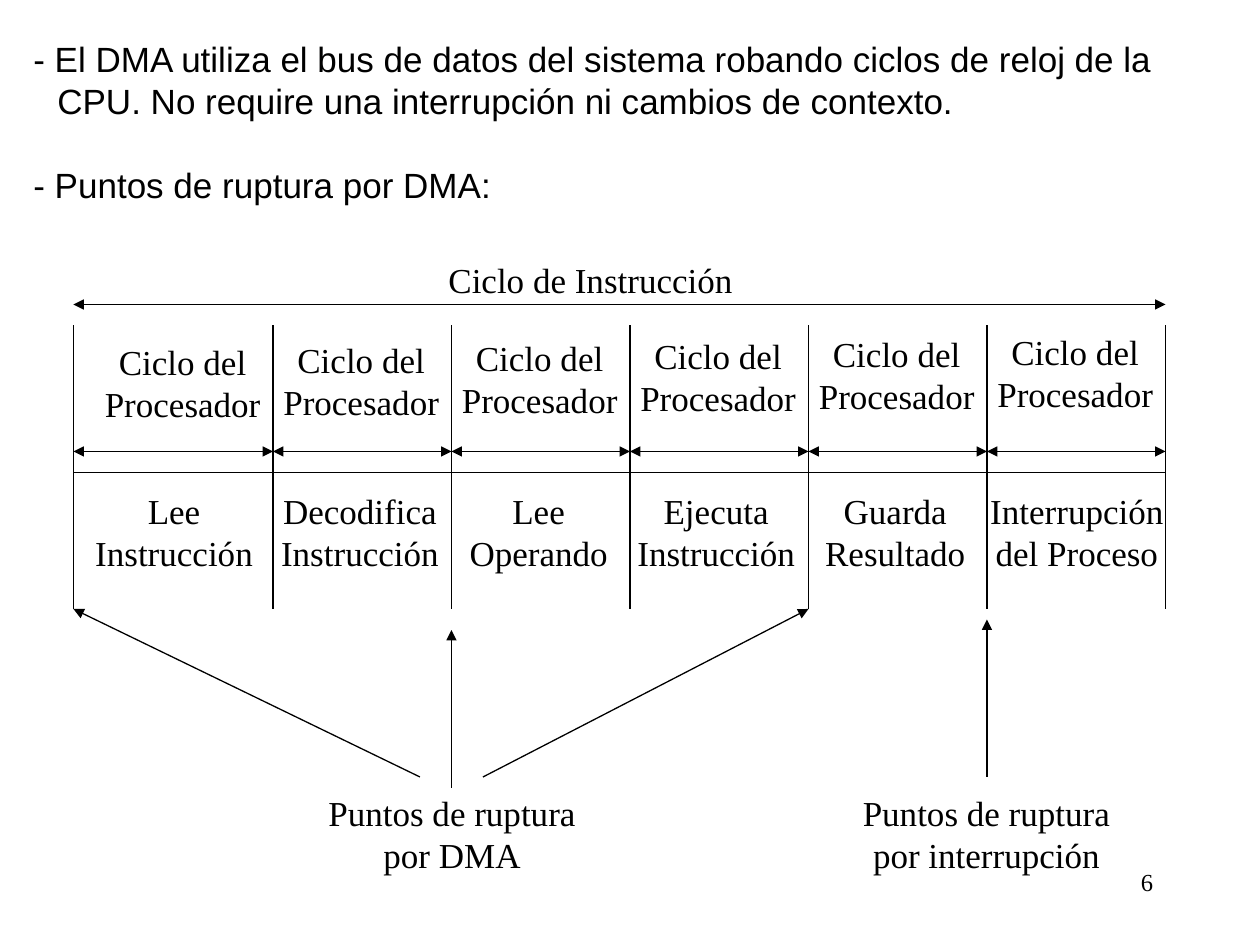
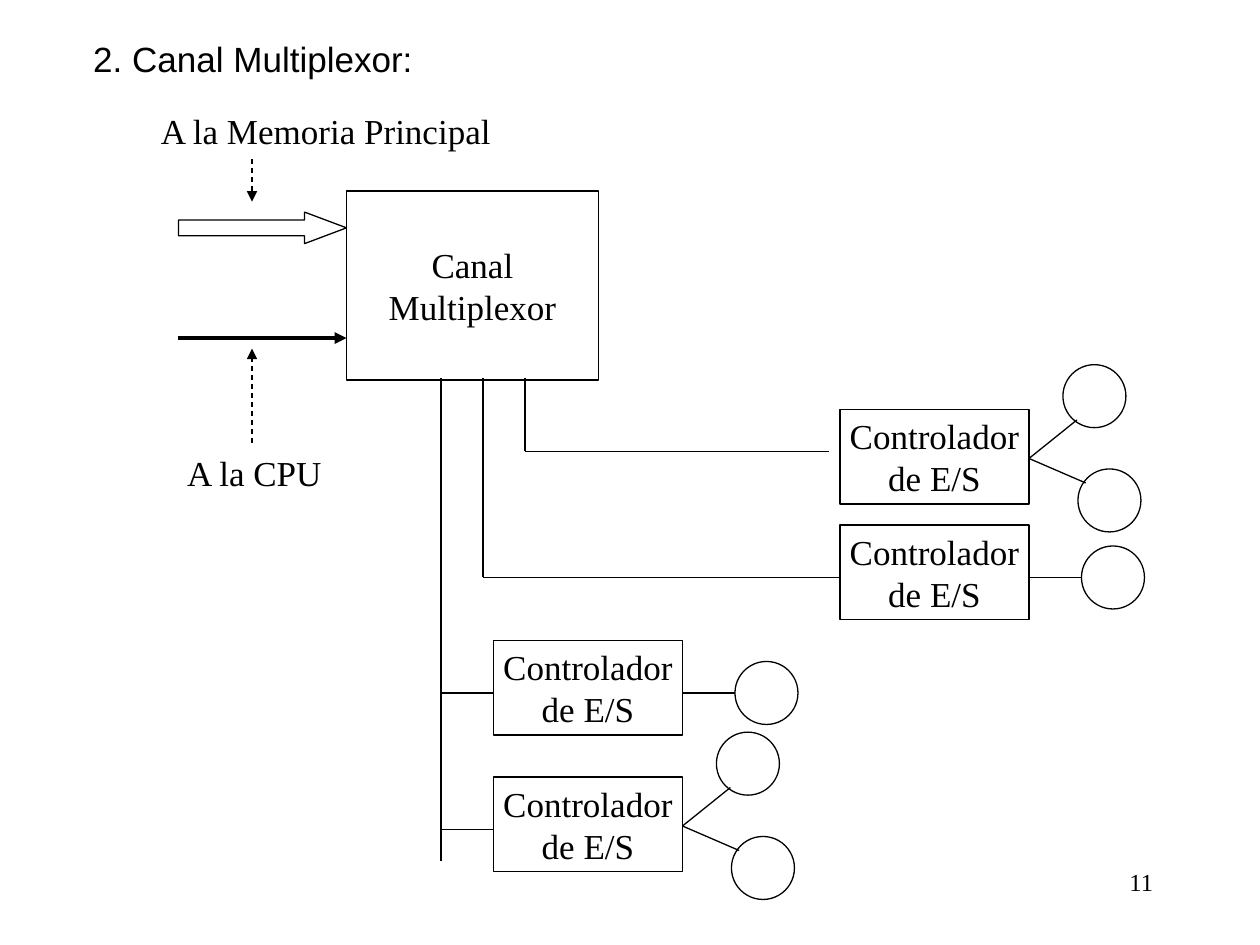
from itertools import pairwise

from lxml import etree
from pptx import Presentation
from pptx.dml.color import RGBColor
from pptx.enum.dml import MSO_LINE_DASH_STYLE as Dash
from pptx.enum.shapes import MSO_CONNECTOR as Connector, MSO_SHAPE as Shape
from pptx.enum.text import MSO_ANCHOR as Anchor, PP_ALIGN as Align
from pptx.oxml.ns import qn
from pptx.util import Pt

# Shared style
BLACK = RGBColor(0, 0, 0)
HEADING = {"name": "Arial", "size": Pt(20)}
LABEL = {"name": "Times New Roman", "size": Pt(20)}
PAGE_NUMBER = {"name": "Times New Roman", "size": Pt(14)}
MARGINS = {"margin_left": Pt(7.2), "margin_right": Pt(7.2),
           "margin_top": Pt(3.6), "margin_bottom": Pt(3.6)}
THIN, THICK = 0.75, 2.25


def apply_format(target, values):
    for name, value in values.items():
        setattr(target, name, value)


def write_text(shape, lines, font, align=Align.CENTER, anchor=Anchor.TOP,
               wrap=False, left_indent=0, first_indent=0, gap=0):
    frame = shape.text_frame
    apply_format(frame, {**MARGINS, "word_wrap": wrap, "vertical_anchor": anchor})
    for number, line in enumerate(lines):
        paragraph = frame.add_paragraph() if number else frame.paragraphs[0]
        paragraph.text = line
        paragraph.alignment = align
        properties = paragraph._p.get_or_add_pPr()
        properties.set("marL", str(Pt(left_indent)))
        properties.set("indent", str(Pt(first_indent)))
        if number and gap:
            paragraph.space_before = Pt(gap)
        apply_format(paragraph.font, font)
        paragraph.font.color.rgb = BLACK


def add_text(slide, box, lines, font=LABEL, **layout):
    shape = slide.shapes.add_textbox(*map(Pt, box))
    write_text(shape, lines, font, **layout)


def add_centred_label(slide, centre, top, lines, width=114):
    height = 7.2 + 24 * len(lines)
    add_text(slide, (centre - width / 2, top, width, height), lines)


def add_outline(slide, kind, box, lines=()):
    shape = slide.shapes.add_shape(kind, *map(Pt, box))
    shape.shadow.inherit = False
    shape.fill.background()
    shape.line.color.rgb = BLACK
    shape.line.width = Pt(THIN)
    if lines:
        write_text(shape, lines, LABEL, anchor=Anchor.MIDDLE)
    return shape


def add_line(slide, start, end, head=False, tail=False, width=THIN, dash=None):
    line = slide.shapes.add_connector(Connector.STRAIGHT, *map(Pt, (*start, *end)))
    line.line.color.rgb = BLACK
    line.line.width = Pt(width)
    if dash:
        line.line.dash_style = dash
    outline = line.line._get_or_add_ln()
    for tag, wanted in (("a:headEnd", head), ("a:tailEnd", tail)):
        if wanted:
            etree.SubElement(outline, qn(tag), type="triangle")
    etree.SubElement(line._element.spPr, qn("a:effectLst"))


def add_slide(presentation, number):
    slide = presentation.slides.add_slide(presentation.slide_layouts[6])
    add_text(slide, (516, 492, 150, 36), [str(number)], PAGE_NUMBER,
             align=Align.RIGHT, wrap=True)
    return slide


def add_controller(slide, left, top, disks):
    """Draw a controller box with one or two disks on its right."""
    add_outline(slide, Shape.RECTANGLE, (left, top, 108, 54), ["Controlador", "de E/S"])
    right = left + 108
    if disks == 1:
        start_y = 30
        links = [((30, 30), (30, 12))]
    else:
        start_y = 28
        links = [((27.4, 6), (19.4, -25.6)), ((32.4, 42), (28, 34))]
    for (end_x, end_y), (disk_x, disk_y) in links:
        add_line(slide, (right, top + start_y), (right + end_x, top + end_y))
        add_outline(slide, Shape.OVAL, (right + disk_x, top + disk_y, 36, 36))


def build_breakpoints(presentation):
    slide = add_slide(presentation, 6)
    add_text(slide, (12, 18, 684, 103.5), [
        "- El DMA utiliza el bus de datos del sistema robando ciclos de reloj de la CPU. "
        "No require una interrupción ni cambios de contexto.",
        "- Puntos de ruptura por DMA:",
    ], HEADING, align=Align.LEFT, wrap=True, left_indent=13.7, first_indent=-13.7, gap=24)

    # Instruction cycle and its phases
    edges = [42] + [156 + 102 * step for step in range(6)]
    first, last = edges[0], edges[-1]
    add_centred_label(slide, 337.5, 144, ["Ciclo de Instrucción"], 200)
    add_line(slide, (first, 174), (last, 174), head=True, tail=True)
    add_line(slide, (first, 270), (last, 270))
    for edge in edges:
        add_line(slide, (edge, 186), (edge, 348))

    phases = [
        (99.5, ["Lee", "Instrucción"]),
        (205.7, ["Decodifica", "Instrucción"]),
        (307.8, ["Lee", "Operando"]),
        (409.3, ["Ejecuta", "Instrucción"]),
        (511.6, ["Guarda", "Resultado"]),
        (615.4, ["Interrupción", "del Proceso"]),
    ]
    for step, ((left, right), (centre, phase)) in enumerate(zip(pairwise(edges), phases)):
        add_centred_label(slide, right - 51.6, 190.8 - 1.15 * step, ["Ciclo del", "Procesador"])
        add_line(slide, (left, 258), (right, 258), head=True, tail=True)
        add_centred_label(slide, centre, 276, phase)

    # Breakpoints
    for start, end in (((240, 444), (first, 348)), ((258, 450), (258, 360)),
                       ((276, 444), (462, 348)), ((564, 444), (564, 354))):
        add_line(slide, start, end, tail=True)
    for centre, cause in ((258.3, "por DMA"), (563.7, "por interrupción")):
        add_centred_label(slide, centre, 448.5, ["Puntos de ruptura", cause], 170)


def build_multiplexer(presentation):
    slide = add_slide(presentation, 11)
    add_text(slide, (10.2, 18, 260, 31.5), ["2. Canal Multiplexor:"], HEADING,
             align=Align.LEFT, wrap=True, left_indent=36)

    # Channel and its links to memory and CPU
    add_outline(slide, Shape.RECTANGLE, (198, 109.2, 144, 108), ["Canal", "Multiplexor"])
    memory_bus = add_outline(slide, Shape.RIGHT_ARROW, (102, 121.2, 96, 18))
    memory_bus.adjustments[1] = 1.33
    add_line(slide, (102, 193.2), (198, 193.2), tail=True, width=THICK)
    add_line(slide, (144, 91), (144, 115.2), tail=True, dash=Dash.DASH)
    add_line(slide, (144, 253.2), (144, 199.2), tail=True, dash=Dash.DASH)
    add_centred_label(slide, 186.2, 59, ["A la Memoria Principal"], 220)
    add_centred_label(slide, 145.4, 254.4, ["A la CPU"], 100)

    # Lines from the channel to the controllers
    for trunk, bottom in ((252, 492), (276, 330), (300, 258)):
        add_line(slide, (trunk, 216), (trunk, bottom))
    for trunk, end, height in ((252, 282, 474), (252, 282, 396),
                               (276, 480, 330), (300, 474, 258)):
        add_line(slide, (trunk, height), (end, height))

    for left, top, disks in ((480, 234, 2), (480, 300, 1), (282, 366, 1), (282, 444, 2)):
        add_controller(slide, left, top, disks)


def main():
    presentation = Presentation()
    presentation.slide_width, presentation.slide_height = Pt(720), Pt(540)
    build_breakpoints(presentation)
    build_multiplexer(presentation)
    presentation.save("out.pptx")


if __name__ == "__main__":
    main()
